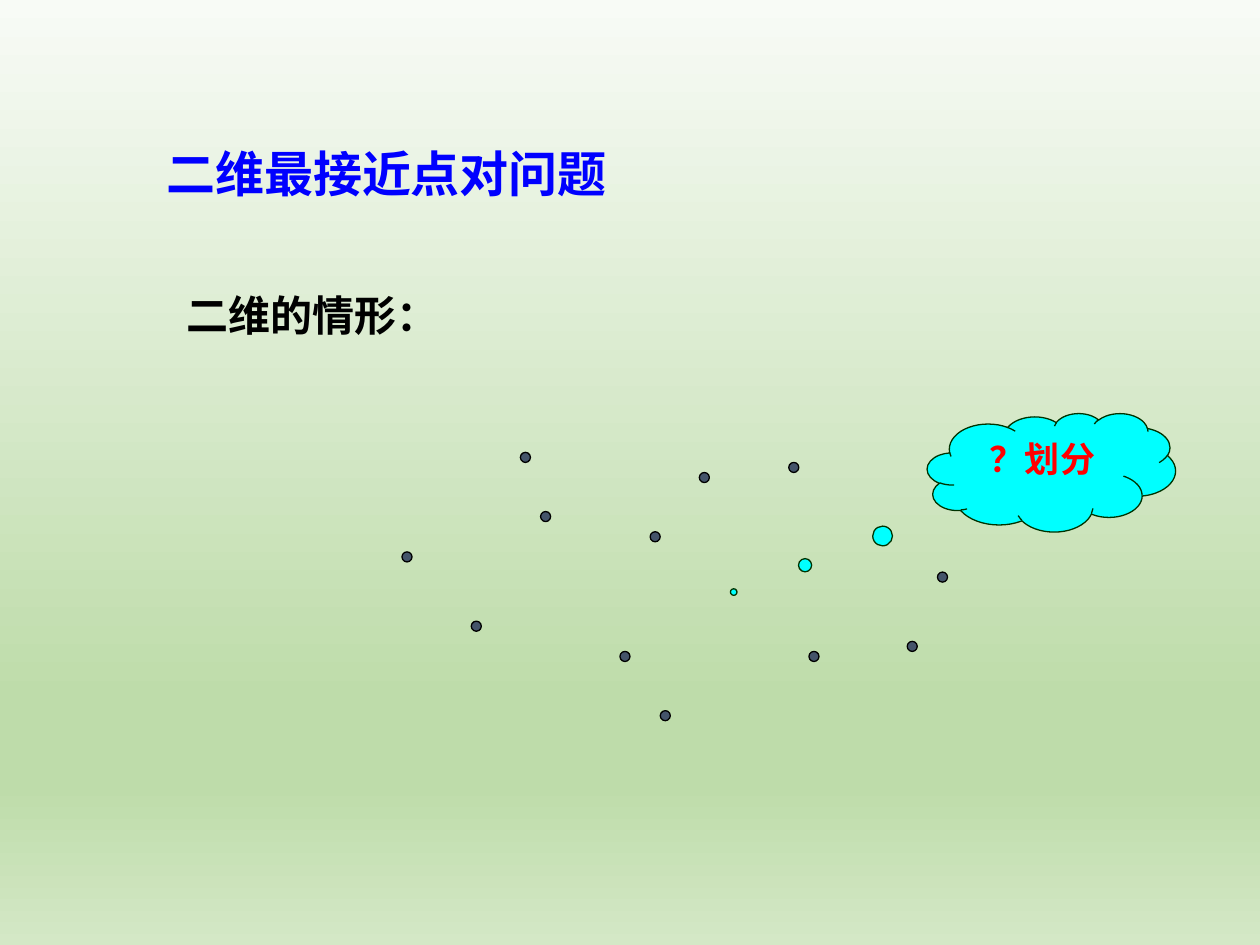
from copy import deepcopy
from typing import NamedTuple

from pptx import Presentation
from pptx import util as u
from pptx.dml.color import RGBColor
from pptx.enum import shapes, text
from pptx.oxml import ns

POINT_SIZE = 0.08
BACKGROUND_STOPS = [(0, "F8FBF6"), (0.74, "BEDCAA"), (0.83, "BEDCAA"), (1, "D4E8C6")]


class Point(NamedTuple):
    left: float
    top: float


POINTS = [
    Point(3.19, 4.38), Point(3.74, 4.93), Point(4.92, 5.17), Point(4.13, 3.59),
    Point(5.16, 4.22), Point(6.42, 5.17), Point(7.44, 4.54), Point(6.26, 3.67),
    Point(5.55, 3.75), Point(5.24, 5.64), Point(4.29, 4.06), Point(7.2, 5.09),
]


def color(value: str) -> RGBColor:
    return RGBColor.from_string(value)


def paint_background(slide) -> None:
    fill = slide.background.fill
    fill.gradient()
    fill.gradient_angle = 270
    stop_list = slide.element.find(".//" + ns.qn("a:gsLst"))
    while len(stop_list) < len(BACKGROUND_STOPS):
        stop_list.append(deepcopy(stop_list[0]))
    for stop, (position, value) in zip(fill.gradient_stops, BACKGROUND_STOPS):
        stop.position = position
        stop.color.rgb = color(value)


def write(shape, words: str, size: float, value: str,
          alignment=text.PP_ALIGN.LEFT, wrap: bool = True) -> None:
    frame = shape.text_frame
    frame.text = words
    frame.word_wrap = wrap
    frame.vertical_anchor = text.MSO_ANCHOR.TOP
    paragraph = frame.paragraphs[0]
    paragraph.alignment = alignment
    font = paragraph.runs[0].font
    font.name, font.size, font.bold = "Arial", u.Pt(size), True
    font.color.rgb = color(value)


def add_filled_shape(slide, kind, left: float, top: float, width: float, height: float,
                     fill: str, line: str, line_width: float):
    shape = slide.shapes.add_shape(
        kind, u.Inches(left), u.Inches(top), u.Inches(width), u.Inches(height))
    shape.shadow.inherit = False
    shape.fill.solid()
    shape.fill.fore_color.rgb = color(fill)
    shape.line.color.rgb = color(line)
    shape.line.width = u.Pt(line_width)
    return shape


def main() -> None:
    presentation = Presentation()
    presentation.slide_width, presentation.slide_height = u.Inches(10), u.Inches(7.5)
    slide = presentation.slides.add_slide(presentation.slide_layouts.get_by_name("Title Only"))
    paint_background(slide)

    title = slide.shapes.title
    title.left, title.top = u.Inches(1.22), u.Inches(1.09)
    title.width, title.height = u.Inches(5.28), u.Inches(0.57)
    write(title, "二维最接近点对问题", 28, "0000FF")
    title.text_frame.auto_size = text.MSO_AUTO_SIZE.NONE

    subtitle = slide.shapes.add_textbox(
        u.Inches(1.38), u.Inches(2.25), u.Inches(2.2), u.Inches(0.5))
    write(subtitle, "二维的情形：", 24, "000000", wrap=False)

    for point in POINTS:
        add_filled_shape(slide, shapes.MSO_SHAPE.OVAL, point.left, point.top,
                         POINT_SIZE, POINT_SIZE, "44546A", "000000", 0.75)

    cloud = add_filled_shape(slide, shapes.MSO_SHAPE.CLOUD_CALLOUT,
                             7.36, 3.28, 1.97, 0.94, "00FFFF", "003300", 0)
    cloud.adjustments[0], cloud.adjustments[1] = -1.28, 1.01
    write(cloud, "？划分", 20, "FF0000", text.PP_ALIGN.CENTER)

    presentation.save("out.pptx")


if __name__ == "__main__":
    main()
